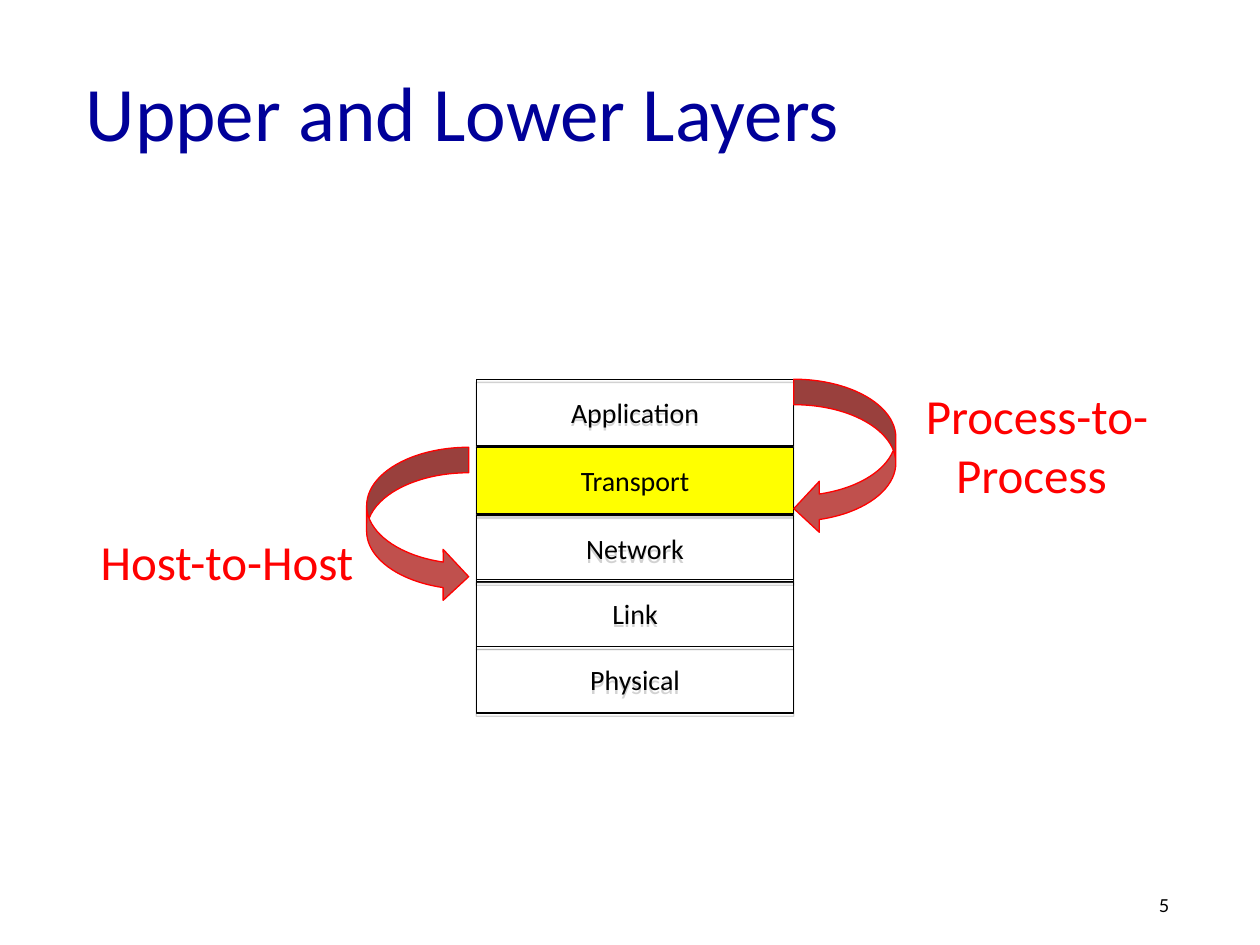
from lxml import etree
from pptx import Presentation
from pptx.dml.color import RGBColor
from pptx.enum.shapes import MSO_SHAPE
from pptx.enum.text import MSO_ANCHOR, PP_ALIGN
from pptx.oxml.ns import nsdecls
from pptx.util import Inches, Pt

TITLE = "Upper and Lower Layers"
PAGE_NUMBER = "5"
# name, top, fill
LAYERS = [
    ("Application", 3.01, None),
    ("Transport", 3.55, "highlight"),
    ("Network", 4.09, None),
    ("Link", 4.6, None),
    ("Physical", 5.13, None),
]
# text, left, top, width, height; the closing space shifts the centred line
SERVICES = [
    ("Process-to-Process ", 7.05, 3.01, 2.36, 1.04),
    ("Host-to-Host ", 0.41, 4.17, 2.87, 0.57),
]
# preset, left, top
ARROWS = [
    (MSO_SHAPE.CURVED_LEFT_ARROW, 6.3, 3.01),
    (MSO_SHAPE.CURVED_RIGHT_ARROW, 2.91, 3.55),
]
COLORS = {
    "title": "000099", "ink": "000000", "highlight": "FFFF00",
    "service": "FF0000", "arrow": "C0504D", "shadow": "808080",
}
LAYER_LEFT, LAYER_WIDTH, LAYER_HEIGHT = 3.78, 2.52, 0.53
ARROW_WIDTH, ARROW_HEIGHT = 0.81, 1.23


def rgb(name):
    return RGBColor.from_string(COLORS[name])


def write(shape, text, size, color, align=PP_ALIGN.CENTER, font="Calibri"):
    frame = shape.text_frame
    frame.word_wrap = True
    frame.text = text
    paragraph = frame.paragraphs[0]
    paragraph.alignment = align
    paragraph.font.name = font
    paragraph.font.size = Pt(size)
    paragraph.font.color.rgb = rgb(color)
    return paragraph


def add_outlined(slide, preset, box, fill, line):
    shape = slide.shapes.add_shape(preset, *map(Inches, box))
    shape.shadow.inherit = False
    if fill:
        shape.fill.solid()
        shape.fill.fore_color.rgb = rgb(fill)
    else:
        shape.fill.background()
    shape.line.color.rgb = rgb(line)
    shape.line.width = Pt(0.75)
    return shape


def add_drop_shadow(shape):
    effects = shape._element.spPr.find("{*}effectLst")
    effects.append(etree.fromstring(
        f'<a:outerShdw {nsdecls("a")} blurRad="0" dist="{Pt(1.8)}" dir="5400000" '
        f'rotWithShape="0"><a:srgbClr val="{COLORS["shadow"]}">'
        '<a:alpha val="35000"/></a:srgbClr></a:outerShdw>'))


def main():
    prs = Presentation()
    prs.slide_width, prs.slide_height = Inches(10), Inches(7.5)
    slide = prs.slides.add_slide(prs.slide_layouts[5])

    # Title
    title = slide.shapes.title
    title.left, title.top = Inches(0.58), Inches(0.25)
    title.width, title.height = Inches(8.5), Inches(1.25)
    title.text_frame.vertical_anchor = MSO_ANCHOR.MIDDLE
    write(title, TITLE, 44, "title", PP_ALIGN.LEFT)

    # Page number
    number = slide.shapes.add_textbox(*map(Inches, (9.1, 7.07, 0.74, 0.3)))
    write(number, PAGE_NUMBER, 10.2, "ink", PP_ALIGN.LEFT, "Lato").line_spacing = 0.9

    # Layer stack
    for name, top, fill in LAYERS:
        box = (LAYER_LEFT, top, LAYER_WIDTH, LAYER_HEIGHT)
        layer = add_outlined(slide, MSO_SHAPE.RECTANGLE, box, fill, "ink")
        add_drop_shadow(layer)
        layer.text_frame.vertical_anchor = MSO_ANCHOR.MIDDLE
        write(layer, name, 16, "ink")

    # Services between layers
    for text, *box in SERVICES:
        service = slide.shapes.add_textbox(*map(Inches, box))
        write(service, text, 28, "service")
    for preset, left, top in ARROWS:
        add_outlined(slide, preset, (left, top, ARROW_WIDTH, ARROW_HEIGHT),
                     "arrow", "service")

    prs.save("out.pptx")


if __name__ == "__main__":
    main()
